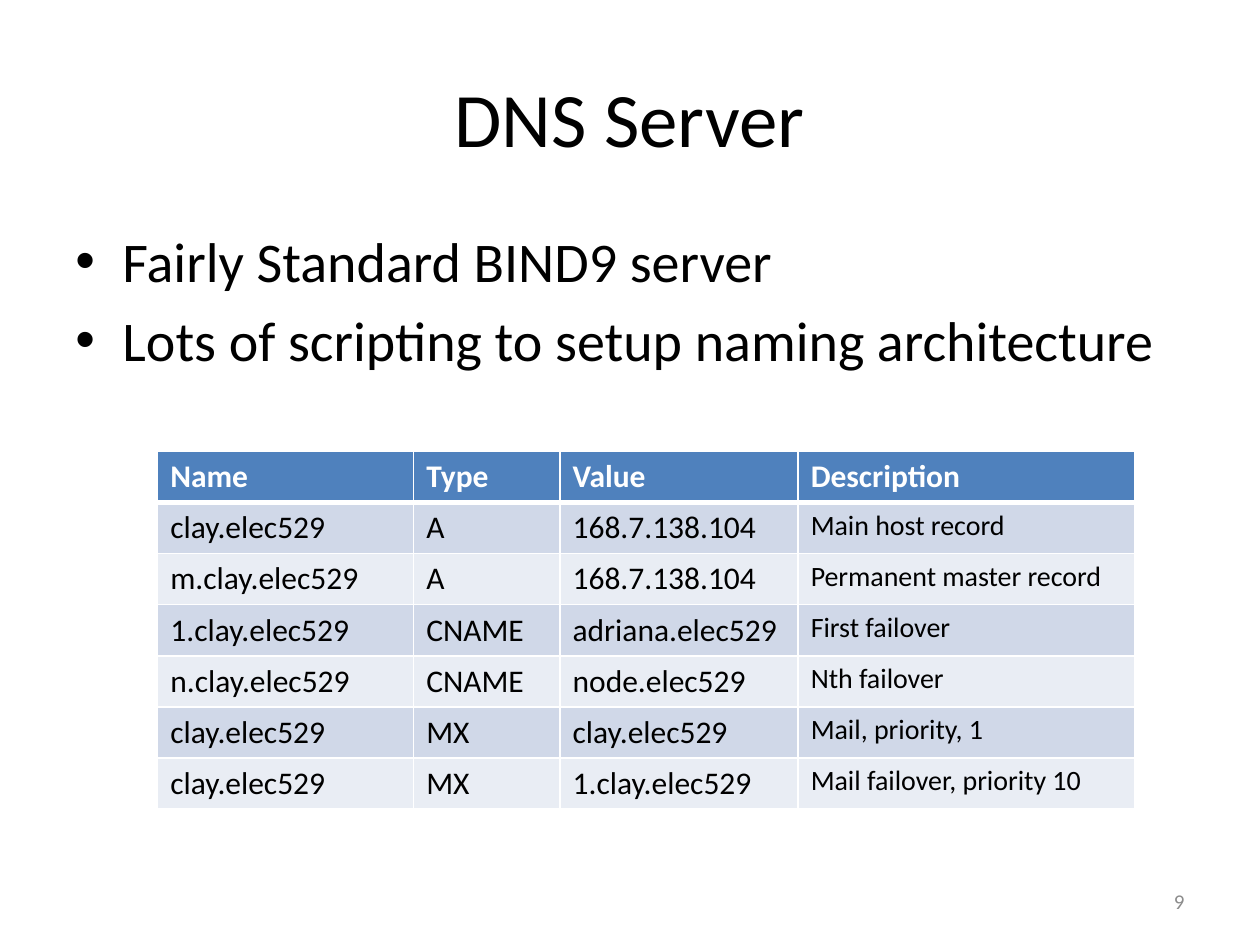
from dataclasses import dataclass

from lxml import etree
from pptx import Presentation, util as u
from pptx.dml.color import RGBColor
from pptx.enum import text
from pptx.oxml import ns


@dataclass(frozen=True)
class Theme:
    font: str = "Calibri"
    black: str = "000000"
    white: str = "FFFFFF"
    grey: str = "8C8C8C"
    header: str = "4F81BD"
    bands: tuple = ("D0D8E8", "E9EDF4")
    title: int = 44
    body: int = 32
    cell: int = 18
    description: int = 16
    number: int = 12


THEME = Theme()

BULLETS = ["Fairly Standard BIND9 server", "Lots of scripting to setup naming architecture"]

COLUMN_WIDTHS = [5.16, 2.95, 4.8, 6.78]
RECORDS = [
    ["Name", "Type", "Value", "Description"],
    ["clay.elec529", "A", "168.7.138.104", "Main host record"],
    ["m.clay.elec529", "A", "168.7.138.104", "Permanent master record"],
    ["1.clay.elec529", "CNAME", "adriana.elec529", "First failover"],
    ["n.clay.elec529", "CNAME", "node.elec529", "Nth failover"],
    ["clay.elec529", "MX", "clay.elec529", "Mail, priority, 1"],
    ["clay.elec529", "MX", "1.clay.elec529", "Mail failover, priority 10"],
]


def format_font(font, size, color, bold=False):
    values = {"name": THEME.font, "size": u.Pt(size), "bold": bold}
    for name, value in values.items():
        setattr(font, name, value)
    font.color.rgb = RGBColor.from_string(color)


def add_text(slide, box, lines, size, color, align, anchor):
    """Add a text box with one paragraph per line and return its paragraphs."""
    frame = slide.shapes.add_textbox(*map(u.Cm, box)).text_frame
    frame.word_wrap = True
    frame.vertical_anchor = anchor
    frame.text = "\n".join(lines)
    for paragraph in frame.paragraphs:
        paragraph.alignment = align
        format_font(paragraph.runs[0].font, size, color)
    return frame.paragraphs


def add_title(slide, box):
    add_text(slide, box, ["DNS Server"], THEME.title, THEME.black,
             text.PP_ALIGN.CENTER, text.MSO_ANCHOR.MIDDLE)


def add_bullets(slide, box):
    paragraphs = add_text(slide, box, BULLETS, THEME.body, THEME.black,
                          text.PP_ALIGN.LEFT, text.MSO_ANCHOR.TOP)
    indent = u.Cm(0.95)
    for index, paragraph in enumerate(paragraphs):
        if index:
            paragraph.space_before = u.Pt(0.2 * THEME.body)
        properties = paragraph._p.get_or_add_pPr()
        properties.set("marL", str(indent))
        properties.set("indent", str(-indent))
        etree.SubElement(properties, ns.qn("a:buFont"), typeface="Arial")
        etree.SubElement(properties, ns.qn("a:buChar"), char="•")


def add_page_number(slide, box):
    add_text(slide, box, ["9"], THEME.number, THEME.grey,
             text.PP_ALIGN.RIGHT, text.MSO_ANCHOR.MIDDLE)


def set_borders(cell, widths):
    """Draw white borders; widths maps a side (L, R, T, B) to points."""
    properties = cell._tc.get_or_add_tcPr()
    for index, (side, width) in enumerate(widths.items()):
        line = etree.Element(ns.qn(f"a:ln{side}"), w=str(u.Pt(width)))
        fill = etree.SubElement(line, ns.qn("a:solidFill"))
        etree.SubElement(fill, ns.qn("a:srgbClr"), val=THEME.white)
        properties.insert(index, line)


def add_records(slide, box):
    """Add the DNS record table, with equal rows sharing the box height."""
    shape = slide.shapes.add_table(len(RECORDS), len(COLUMN_WIDTHS), *map(u.Cm, box))
    table = shape.table
    for column, width in zip(table.columns, COLUMN_WIDTHS):
        column.width = u.Cm(width)
    last_column = len(COLUMN_WIDTHS) - 1
    for row, record in enumerate(RECORDS):
        is_header = row == 0
        fill = THEME.header if is_header else THEME.bands[(row - 1) % 2]
        color = THEME.white if is_header else THEME.black
        borders = {"L": 1, "R": 1, "T": 3 if row == 1 else 1, "B": 3 if is_header else 1}
        for column, value in enumerate(record):
            cell = table.cell(row, column)
            cell.text = value
            cell.fill.solid()
            cell.fill.fore_color.rgb = RGBColor.from_string(fill)
            is_description = column == last_column and not is_header
            size = THEME.description if is_description else THEME.cell
            format_font(cell.text_frame.paragraphs[0].runs[0].font, size, color, is_header)
            set_borders(cell, borders)


def main():
    presentation = Presentation()
    presentation.slide_width, presentation.slide_height = u.Cm(25.4), u.Cm(19.05)
    slide = presentation.slides.add_slide(presentation.slide_layouts[6])
    margin, content_width = 1.27, 22.86
    add_title(slide, (margin, 0.76, content_width, 3.18))
    add_bullets(slide, (margin, 4.45, content_width, 12.57))
    add_page_number(slide, (18.2, 17.66, 5.93, 1.01))
    add_records(slide, (3.18, 9.1, sum(COLUMN_WIDTHS), 7.21))
    presentation.save("out.pptx")


if __name__ == "__main__":
    main()
